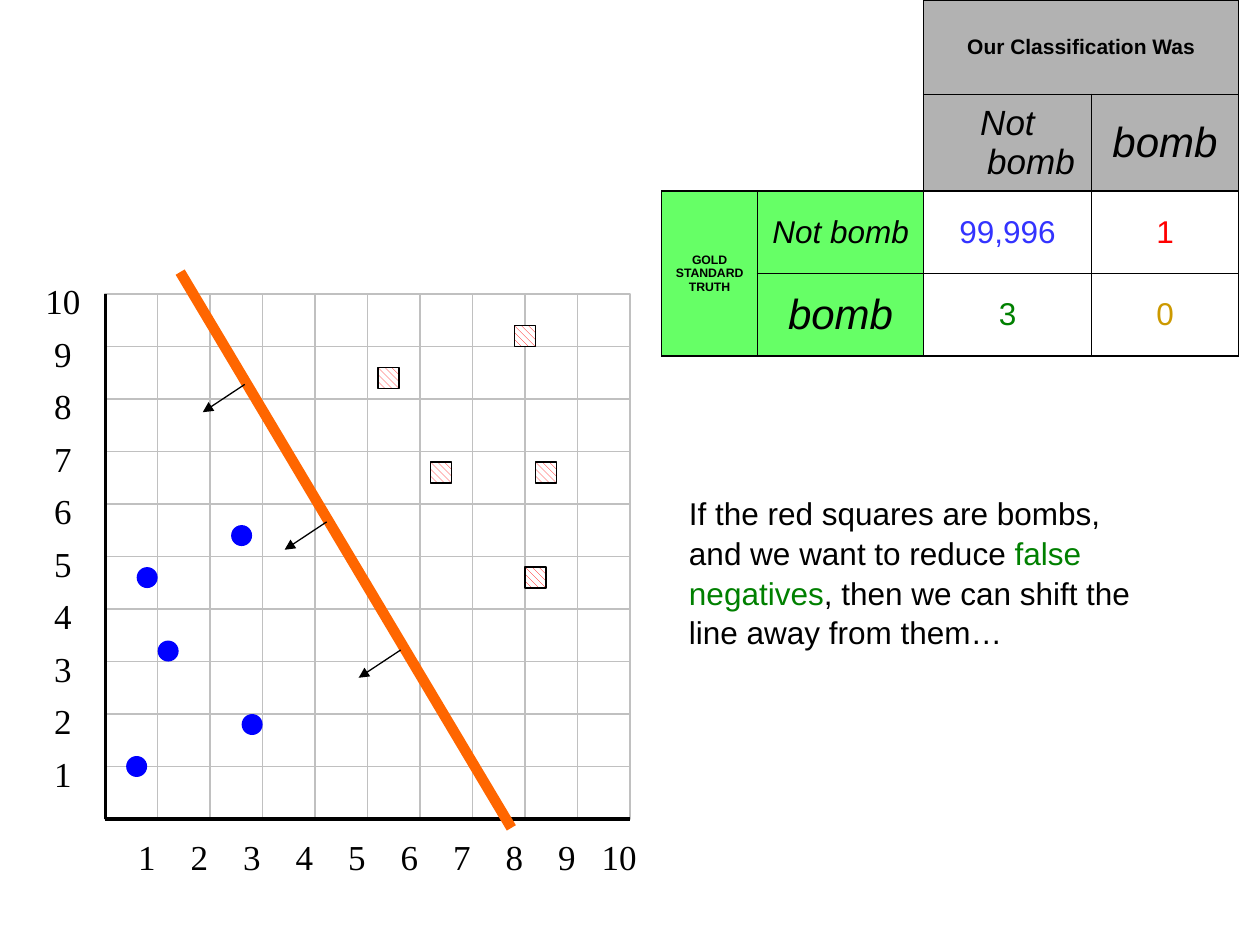
from dataclasses import dataclass

from lxml.etree import SubElement
from pptx import Presentation
from pptx.dml.color import RGBColor
from pptx.enum.dml import MSO_PATTERN
from pptx.enum.shapes import MSO_CONNECTOR, MSO_SHAPE
from pptx.enum.text import MSO_ANCHOR, MSO_AUTO_SIZE, PP_ALIGN
from pptx.oxml.ns import qn
from pptx.util import Cm, Pt


@dataclass(frozen=True)
class Theme:
    black: str = "000000"
    white: str = "FFFFFF"
    grid: str = "C0C0C0"
    header: str = "B2B2B2"
    truth: str = "66FF66"
    circle: str = "0000FF"
    square: str = "FF0000"
    boundary: str = "FF6600"
    correct: str = "3333FF"
    false_positive: str = "FF0000"
    false_negative: str = "008000"
    hit: str = "CC9900"
    sans: str = "Arial"
    serif: str = "Times New Roman"
    tiny: int = 7
    small: int = 12
    body: int = 18
    large: int = 20
    huge: int = 24


THEME = Theme()

# Points, the boundary and the arrows are in the units of the plot's axes.
CIRCLES = [(1.2, 3.2), (2.8, 1.8), (2.6, 5.4), (0.6, 1), (0.8, 4.6)]
SQUARES = [(5.4, 8.4), (6.4, 6.6), (8, 9.2), (8.4, 6.6), (8.2, 4.6)]
BOUNDARY = [(1.43, 10.42), (7.74, -0.17)]
ARROW_STARTS = [(2.66, 8.28), (4.22, 5.66), (5.63, 3.22)]
ARROW_STEP = (-0.8, -0.53)
UNITS = 10
MARKER_UNITS = 0.4

COLUMN_WIDTHS = [1.93, 3.35, 3.38, 2.97]
ROW_HEIGHTS = [1.9, 1.95, 1.66, 1.67]
MERGES = [((0, 0), (1, 1)), ((0, 2), (0, 3)), ((2, 0), (3, 0))]
# row, column, text, size, style, text colour, fill
CELLS = [
    (0, 2, "Our Classification Was", THEME.small, "bold", THEME.black, THEME.header),
    (1, 2, "Not bomb", THEME.large, "italic", THEME.black, THEME.header),
    (1, 3, "bomb", THEME.huge, "italic", THEME.black, THEME.header),
    (2, 0, "GOLD\nSTANDARD\nTRUTH", THEME.tiny, "bold", THEME.black, THEME.truth),
    (2, 1, "Not bomb", THEME.body, "italic", THEME.black, THEME.truth),
    (2, 2, "99,996", THEME.body, "plain", THEME.correct, None),
    (2, 3, "1", THEME.body, "plain", THEME.false_positive, None),
    (3, 1, "bomb", THEME.huge, "italic", THEME.black, THEME.truth),
    (3, 2, "3", THEME.body, "plain", THEME.false_negative, None),
    (3, 3, "0", THEME.body, "plain", THEME.hit, None),
]
EXPLANATION = [
    ("If the red squares are bombs, and we want to reduce ", THEME.black),
    ("false negatives", THEME.false_negative),
    (", then we can shift the line away from them…", THEME.black),
]

PLOT_LEFT, PLOT_BOTTOM, PLOT_SIDE = Cm(2.12), Cm(16.51), Cm(10.58)
UNIT = PLOT_SIDE / UNITS


def rgb(value):
    return RGBColor.from_string(value)


def plot_point(x, y):
    """Turn axis units into a position on the slide."""
    return round(PLOT_LEFT + x * UNIT), round(PLOT_BOTTOM - y * UNIT)


def style_run(run, font, size, color):
    run.font.name = font
    run.font.size = Pt(size)
    run.font.color.rgb = rgb(color)


def add_plot_shape(slide, kind, center, units):
    left, top = plot_point(center[0] - units / 2, center[1] + units / 2)
    side = round(units * UNIT)
    shape = slide.shapes.add_shape(kind, left, top, side, side)
    shape.shadow.inherit = False
    return shape


def add_plot_line(slide, start, end, color, width, arrow=False):
    line = slide.shapes.add_connector(
        MSO_CONNECTOR.STRAIGHT, *plot_point(*start), *plot_point(*end))
    line.line.color.rgb = rgb(color)
    line.line.width = Pt(width)
    if arrow:
        SubElement(line.line._get_or_add_ln(), qn("a:tailEnd"), type="triangle")
    SubElement(line._element.spPr, qn("a:effectLst"))


def add_grid(slide):
    for row in range(UNITS):
        for column in range(UNITS):
            square = add_plot_shape(
                slide, MSO_SHAPE.RECTANGLE, (column + 0.5, row + 0.5), 1)
            square.fill.background()
            square.line.color.rgb = rgb(THEME.grid)
            square.line.width = Pt(0)


def add_markers(slide):
    for center in CIRCLES:
        circle = add_plot_shape(slide, MSO_SHAPE.OVAL, center, MARKER_UNITS)
        circle.fill.solid()
        circle.fill.fore_color.rgb = rgb(THEME.circle)
        circle.line.fill.background()
    for center in SQUARES:
        square = add_plot_shape(slide, MSO_SHAPE.RECTANGLE, center, MARKER_UNITS)
        square.fill.patterned()
        square.fill.pattern = MSO_PATTERN.WIDE_DOWNWARD_DIAGONAL
        square.fill.fore_color.rgb = rgb(THEME.square)
        square.fill.back_color.rgb = rgb(THEME.white)
        square.line.color.rgb = rgb(THEME.black)
        square.line.width = Pt(0.75)


def add_axis_label(slide, number, center):
    x, y = plot_point(*center)
    width, height = Cm(0.86 if number < 10 else 1.22), Cm(1.1)
    label = slide.shapes.add_textbox(x - width // 2, y - height // 2, width, height)
    frame = label.text_frame
    frame.word_wrap = False
    frame.auto_size = MSO_AUTO_SIZE.SHAPE_TO_FIT_TEXT
    frame.text = str(number)
    style_run(frame.paragraphs[0].runs[0], THEME.serif, THEME.large, THEME.black)


def add_borders(cell, sides):
    properties = cell._tc.get_or_add_tcPr()
    for side in sides:
        border = SubElement(properties, qn(f"a:ln{side}"), w=str(Pt(1)))
        fill = SubElement(border, qn("a:solidFill"))
        SubElement(fill, qn("a:srgbClr"), val=THEME.black)


def add_confusion_table(slide):
    table = slide.shapes.add_table(
        len(ROW_HEIGHTS), len(COLUMN_WIDTHS), Cm(13.34), 0,
        Cm(sum(COLUMN_WIDTHS)), Cm(sum(ROW_HEIGHTS))).table
    table.first_row = table.horz_banding = False
    for column, width in zip(table.columns, COLUMN_WIDTHS):
        column.width = Cm(width)
    for row, height in zip(table.rows, ROW_HEIGHTS):
        row.height = Cm(height)
    for first, last in MERGES:
        table.cell(*first).merge(table.cell(*last))

    corner = table.cell(0, 0)
    add_borders(corner, "RB")
    corner.fill.background()
    for row, column, text, size, style, color, fill in CELLS:
        cell = table.cell(row, column)
        add_borders(cell, "LRTB")
        if fill:
            cell.fill.solid()
            cell.fill.fore_color.rgb = rgb(fill)
        else:
            cell.fill.background()
        cell.vertical_anchor = MSO_ANCHOR.MIDDLE
        cell.text_frame.text = text
        for paragraph in cell.text_frame.paragraphs:
            paragraph.alignment = PP_ALIGN.CENTER
            properties = paragraph._p.get_or_add_pPr()
            properties.set("marL", str(Cm(0.95)))
            properties.set("indent", str(Cm(-0.95)))
            run = paragraph.runs[0]
            style_run(run, THEME.sans, size, color)
            run.font.bold = style == "bold"
            run.font.italic = style == "italic"


def add_explanation(slide):
    box = slide.shapes.add_textbox(Cm(13.64), Cm(9.8), Cm(9.98), Cm(3.3))
    box.text_frame.word_wrap = True
    box.text_frame.auto_size = MSO_AUTO_SIZE.SHAPE_TO_FIT_TEXT
    paragraph = box.text_frame.paragraphs[0]
    paragraph.line_spacing = 1.05
    for text, color in EXPLANATION:
        run = paragraph.add_run()
        run.text = text
        style_run(run, THEME.sans, THEME.body, color)


def main():
    presentation = Presentation()
    presentation.slide_width, presentation.slide_height = Cm(25.4), Cm(19.05)
    slide = presentation.slides.add_slide(presentation.slide_layouts[6])
    add_grid(slide)
    for axis_end in [(UNITS, 0), (0, UNITS)]:
        add_plot_line(slide, (0, 0), axis_end, THEME.black, 1.75)
    add_markers(slide)
    for number in range(1, UNITS + 1):
        add_axis_label(slide, number, (number - 0.2, -0.71))
        add_axis_label(slide, number, (-0.8, number - 0.13))
    add_plot_line(slide, *BOUNDARY, THEME.boundary, 6)
    add_confusion_table(slide)
    for x, y in ARROW_STARTS:
        end = (x + ARROW_STEP[0], y + ARROW_STEP[1])
        add_plot_line(slide, (x, y), end, THEME.black, 0.75, arrow=True)
    add_explanation(slide)
    presentation.save("out.pptx")


if __name__ == "__main__":
    main()
